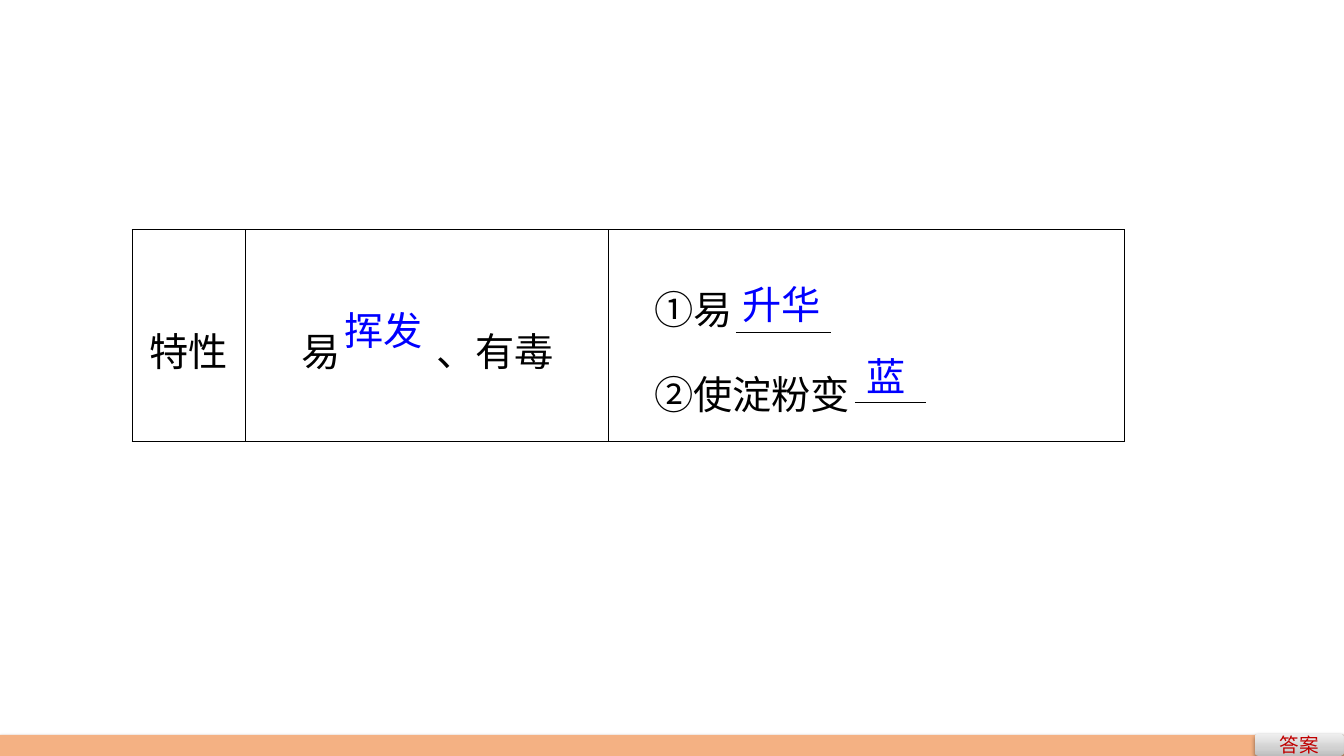
from copy import deepcopy
from dataclasses import dataclass

from lxml import etree
from pptx import Presentation
from pptx.dml.color import RGBColor
from pptx.enum import shapes, text
from pptx.oxml import ns
from pptx.util import Pt

BLACK = RGBColor(0x00, 0x00, 0x00)
BLUE = RGBColor(0x00, 0x00, 0xFF)
RED = RGBColor(0xC0, 0x00, 0x00)
ORANGE = RGBColor(0xF4, 0xB1, 0x83)
BUTTON_STOPS = [
    (0, RGBColor(0xBD, 0xBD, 0xBD)),
    (0.35, RGBColor(0xD1, 0xD1, 0xD1)),
    (1, RGBColor(0xEE, 0xEE, 0xEE)),
]
SERIF, SANS = "Times New Roman", "Noto Sans CJK SC"
LEFT, CENTER = text.PP_ALIGN.LEFT, text.PP_ALIGN.CENTER
BLANK_END = 96.4


@dataclass
class Cell:
    width: float
    lines: list[list[str]]
    align: text.PP_ALIGN = LEFT
    indent: float = 5


@dataclass
class Answer:
    text: str
    left: float
    top: float
    width: float


@dataclass
class Blank:
    left: float
    right: float
    y: float


CELLS = [
    Cell(80.8, [["特性"]], align=CENTER),
    Cell(259.2, [["易", "\t", "、有毒"]], indent=40),
    Cell(368.6, [["①", "易"], ["②", "使淀粉变"]], indent=33),
]
ANSWERS = [
    Answer("挥发", 239, 215.3, 71.3),
    Answer("升华", 523.4, 196.6, 71.3),
    Answer("蓝", 612, 248.4, 42.5),
]
BLANKS = [Blank(525.6, 593.3, 237.6), Blank(610.6, 661.7, 287.3)]


def add_xml(parent, tag: str, **attrs):
    return etree.SubElement(parent, ns.qn(tag), attrs)


def add_run(p, content: str, size: float, color: RGBColor, font: str = SERIF) -> None:
    r = p.add_run()
    r.text = content
    style = {"size": Pt(size), "name": font, "underline": content == "\t" or None}
    for name, value in style.items():
        setattr(r.font, name, value)
    r.font.color.rgb = color
    r.font._element.find(ns.qn("a:latin")).addnext(
        etree.Element(ns.qn("a:ea"), typeface=SANS))


def add_borders(cell) -> None:
    """Put thin black lines on all four sides, ahead of the cell's fill."""
    tc_pr = cell._tc.get_or_add_tcPr()
    for i, side in enumerate(("a:lnL", "a:lnR", "a:lnT", "a:lnB")):
        ln = etree.Element(ns.qn(side), w=str(Pt(1)))
        add_xml(add_xml(ln, "a:solidFill"), "a:srgbClr", val=str(BLACK))
        tc_pr.insert(i, ln)


def add_property_table(s) -> None:
    frame = s.shapes.add_table(1, len(CELLS), Pt(94.4), Pt(164.2),
                               Pt(sum(c.width for c in CELLS)), Pt(151.2))
    table = frame.table
    table.first_row = table.horz_banding = False
    table.rows[0].height = Pt(151.2)
    for i, item in enumerate(CELLS):
        table.columns[i].width = Pt(item.width)
        cell = table.cell(0, i)
        layout = {"margin_left": Pt(item.indent), "margin_right": Pt(5),
                  "margin_top": 0, "margin_bottom": 0,
                  "vertical_anchor": text.MSO_ANCHOR.MIDDLE}
        for name, value in layout.items():
            setattr(cell, name, value)
        cell.fill.background()
        add_borders(cell)
        for j, pieces in enumerate(item.lines):
            tf = cell.text_frame
            p = tf.paragraphs[0] if j == 0 else tf.add_paragraph()
            p.alignment, p.line_spacing = item.align, 1.5
            if "\t" in pieces:
                tabs = add_xml(p._p.get_or_add_pPr(), "a:tabLst")
                add_xml(tabs, "a:tab", pos=str(Pt(BLANK_END)), algn="l")
            for piece in pieces:
                add_run(p, piece, 28, BLACK, SANS if piece in "①②" else SERIF)


def add_answer(s, answer: Answer) -> None:
    tf = s.shapes.add_textbox(Pt(answer.left), Pt(answer.top),
                              Pt(answer.width), Pt(41)).text_frame
    tf.word_wrap = False
    tf.auto_size = text.MSO_AUTO_SIZE.SHAPE_TO_FIT_TEXT
    add_run(tf.paragraphs[0], answer.text, 28, BLUE)


def add_blank(s, blank: Blank) -> None:
    line = s.shapes.add_connector(shapes.MSO_CONNECTOR.STRAIGHT, Pt(blank.left),
                                  Pt(blank.y), Pt(blank.right), Pt(blank.y))
    line.line.color.rgb = BLACK
    line.line.width = Pt(0.75)
    add_xml(line._element.spPr, "a:effectLst")


def add_raised_shape(s, kind: shapes.MSO_SHAPE, left: float, top: float,
                     width: float, height: float):
    """Add a shape without outline that casts a soft shadow downwards."""
    sp = s.shapes.add_shape(kind, Pt(left), Pt(top), Pt(width), Pt(height))
    sp.line.fill.background()
    sp.shadow.inherit = False
    effects = sp._element.spPr.find(ns.qn("a:effectLst"))
    shadow = add_xml(effects, "a:outerShdw", blurRad=str(Pt(3.1)),
                     dist=str(Pt(1.6)), dir="5400000", rotWithShape="0")
    color = add_xml(shadow, "a:srgbClr", val=str(BLACK))
    add_xml(color, "a:alpha", val="38000")
    return sp


def add_footer(s) -> None:
    bar = add_raised_shape(s, shapes.MSO_SHAPE.RECTANGLE, 0, 524.9, 960, 15.1)
    bar.fill.solid()
    bar.fill.fore_color.rgb = ORANGE

    button = add_raised_shape(s, shapes.MSO_SHAPE.ROUNDED_RECTANGLE,
                              896.4, 524.2, 63.4, 15.8)
    button.fill.gradient()
    button.fill.gradient_angle = 90
    stop_list = button._element.spPr.find(".//" + ns.qn("a:gsLst"))
    stop_list.append(deepcopy(stop_list[-1]))
    for stop, (position, color) in zip(button.fill.gradient_stops, BUTTON_STOPS):
        stop.position = position
        stop.color.rgb = color
    tf = button.text_frame
    tf.vertical_anchor = text.MSO_ANCHOR.MIDDLE
    p = tf.paragraphs[0]
    p.alignment = CENTER
    add_run(p, "答案", 14, RED, SANS)


def main() -> None:
    prs = Presentation()
    prs.slide_width, prs.slide_height = Pt(960), Pt(540)
    s = prs.slides.add_slide(prs.slide_layouts[6])
    add_property_table(s)
    for blank in BLANKS:
        add_blank(s, blank)
    for answer in ANSWERS:
        add_answer(s, answer)
    add_footer(s)
    prs.save("out.pptx")


if __name__ == "__main__":
    main()
